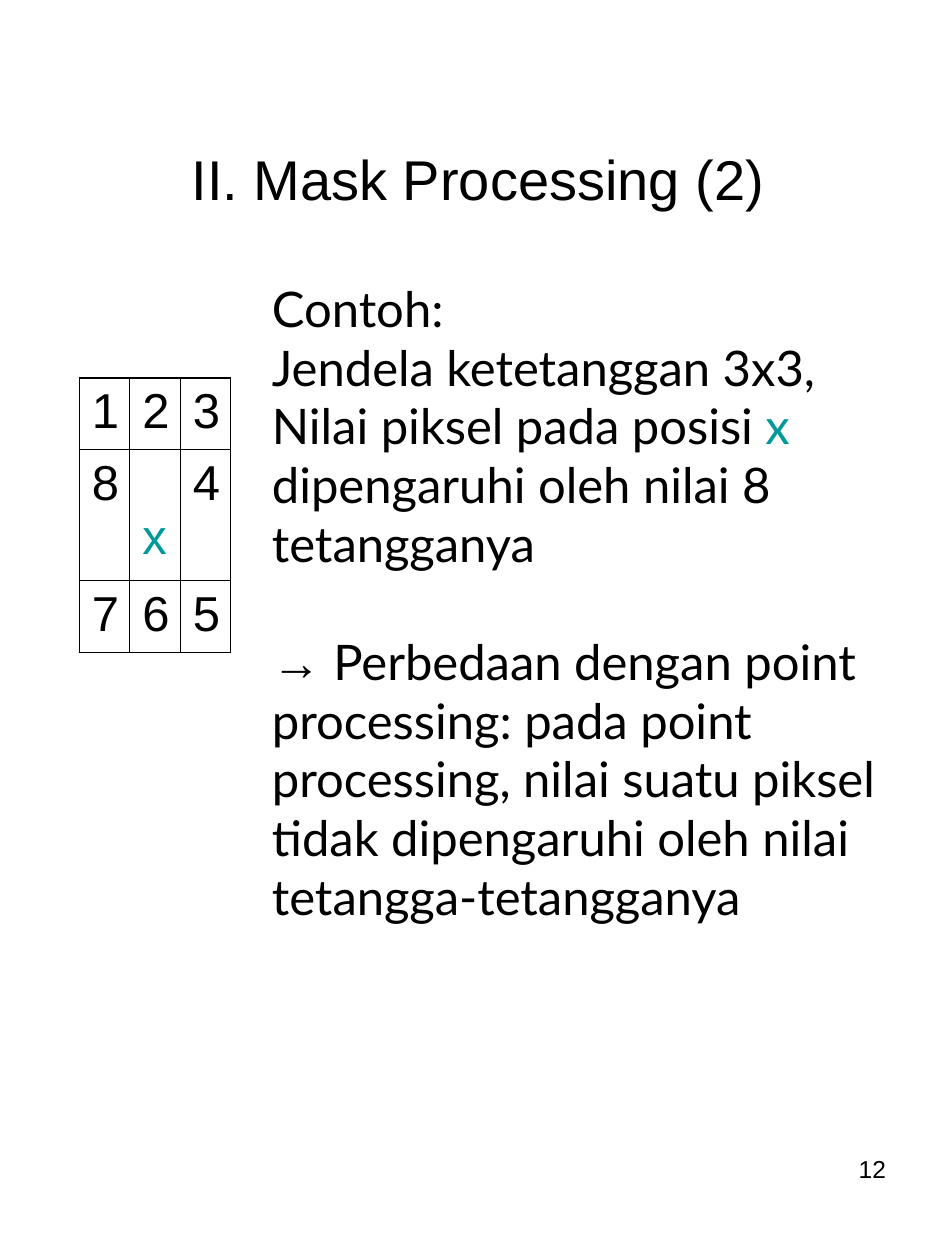
from lxml import etree
from pptx import Presentation
from pptx import util as u
from pptx.dml.color import RGBColor
from pptx.enum import text
from pptx.oxml.ns import qn

BLACK, TEAL = "000000", "009999"


def style(run, size, face="Arial", color=BLACK):
    run.font.size = u.Pt(size)
    run.font.name = face
    run.font.color.rgb = RGBColor.from_string(color)


def border(cell, side, width):
    line = etree.SubElement(cell._tc.get_or_add_tcPr(), qn("a:ln" + side),
                            w=str(u.Pt(width)))
    fill = etree.SubElement(line, qn("a:solidFill"))
    etree.SubElement(fill, qn("a:srgbClr"), val=BLACK)


deck = Presentation()
deck.slide_width, deck.slide_height = u.Inches(7.5), u.Inches(10)
slide = deck.slides.add_slide(deck.slide_layouts[5])

# Title
title = slide.shapes.title
title.left, title.top = u.Inches(0.6), u.Inches(0.35)
title.width, title.height = u.Inches(6.39), u.Inches(2.13)
frame = title.text_frame
frame.text = "II. Mask Processing (2)"
frame.vertical_anchor = text.MSO_ANCHOR.MIDDLE
frame.paragraphs[0].alignment = text.PP_ALIGN.CENTER
style(frame.paragraphs[0].runs[0], 32)

# Neighbour window
window = ["123", ["8", " x", "4"], "765"]
grid = slide.shapes.add_table(3, 3, u.Inches(0.63), u.Inches(3),
                              u.Inches(1.19), u.Inches(2.17)).table
grid.first_row = grid.horz_banding = False
for col in grid.columns:
    col.width = u.Inches(0.4)
for row, high in zip(grid.rows, (0.57, 1.04, 0.57)):
    row.height = u.Inches(high)
for r, marks in enumerate(window):
    for c, mark in enumerate(marks):
        cell = grid.cell(r, c)
        cell.text = mark
        para = cell.text_frame.paragraphs[0]
        para.space_before = u.Pt(7)
        style(para.runs[0], 28, color=TEAL if "x" in mark else BLACK)
        # Outer edges are heavier than inner ones
        edges = {"L": c == 0, "R": c == 2, "T": r == 0, "B": r == 2}
        for side, outer in edges.items():
            border(cell, side, 1.08 if outer else 0.45)
        cell.fill.background()

# Explanation
body = slide.shapes.add_textbox(u.Inches(2.06), u.Inches(2.16),
                                u.Inches(5.12), u.Inches(6.17)).text_frame
body.word_wrap = True
lines = [
    [("Contoh: ", "Lato", BLACK)],
    [("Jendela ketetanggan 3x3,", "Lato", BLACK)],
    [("Nilai piksel pada posisi ", "Lato", BLACK), ("x", "Lato", TEAL),
     (" dipengaruhi oleh nilai 8 tetangganya", "Lato", BLACK)],
    [("→", "Arial", BLACK),
     (" Perbedaan dengan point processing: pada point processing, nilai suatu "
      "piksel tidak dipengaruhi oleh nilai tetangga-tetangganya", "Lato", BLACK)],
]
for i, parts in enumerate(lines):
    para = body.add_paragraph() if i else body.paragraphs[0]
    for words, face, color in parts:
        run = para.add_run()
        run.text = words
        style(run, 28, face, color)
para.space_before = u.Pt(33.6)

# Page number
page = slide.shapes.add_textbox(u.Inches(5.38), u.Inches(9.11),
                                u.Inches(1.75), u.Inches(0.69)).text_frame
page.word_wrap = True
page.text = "12"
page.paragraphs[0].alignment = text.PP_ALIGN.RIGHT
style(page.paragraphs[0].runs[0], 14)

deck.save("out.pptx")
